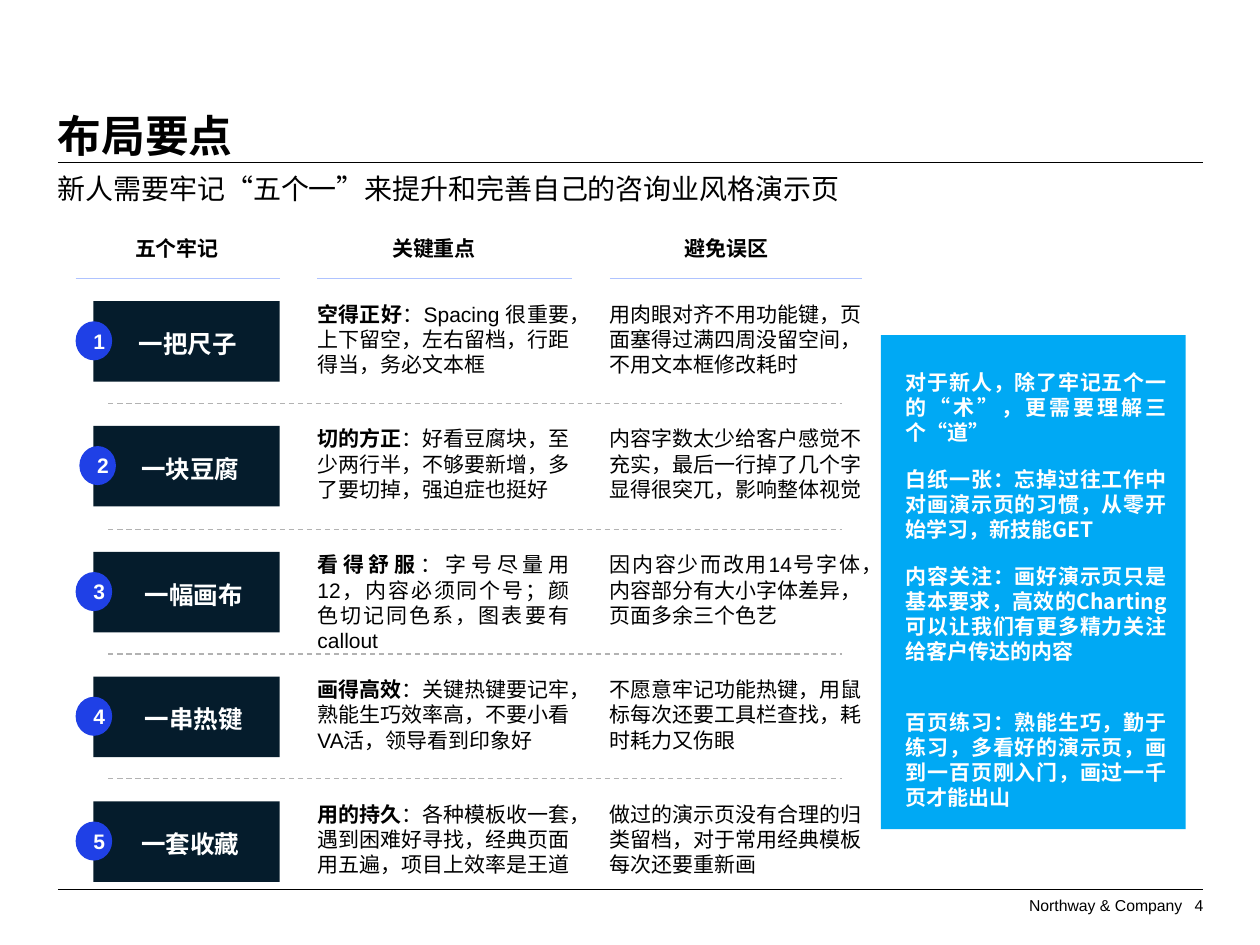
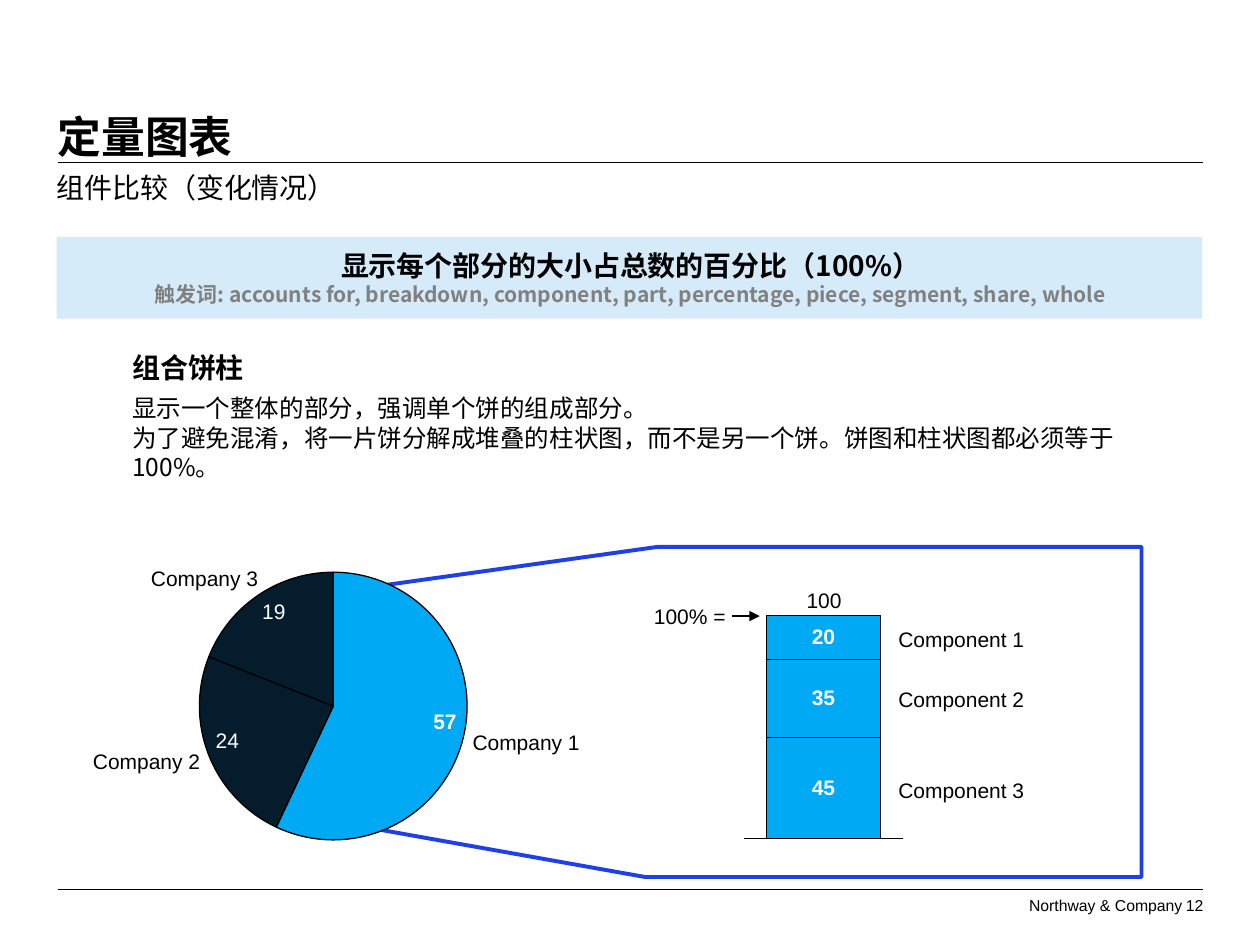
from lxml import etree
from pptx import Presentation
from pptx import util as u
from pptx.chart.data import CategoryChartData
from pptx.dml.color import RGBColor
from pptx.enum import chart as charts, dml, shapes, text
from pptx.oxml import parse_xml
from pptx.oxml.ns import nsdecls, qn

SCALE = 9144
COLORS = {
    "black": "000000", "white": "FFFFFF", "gray": "808080", "dash": "B2B2B2",
    "navy": "051C2C", "cyan": "00A9F4", "blue": "1F40E6",
    "header_line": "AFC3FF", "band": "D6EBFA",
}
LATIN, CHINESE = "Arial", "Noto Sans CJK SC"
LEFT, CENTER, RIGHT, JUSTIFY = (
    text.PP_ALIGN.LEFT, text.PP_ALIGN.CENTER, text.PP_ALIGN.RIGHT, text.PP_ALIGN.JUSTIFY)
TOP, MIDDLE, BOTTOM = (
    text.MSO_ANCHOR.TOP, text.MSO_ANCHOR.MIDDLE, text.MSO_ANCHOR.BOTTOM)


def px(value):
    return u.Emu(round(value * SCALE))


def rgb(name):
    return RGBColor.from_string(COLORS[name])


class Deck:
    """Holds the shared style and the slide being built."""

    def __init__(self):
        self.presentation = Presentation()
        self.presentation.slide_width = px(1000)
        self.presentation.slide_height = px(750)
        self.slide = None

    def start_slide(self, title, title_box, subtitle, subtitle_box, number):
        self.slide = self.presentation.slides.add_slide(self.presentation.slide_layouts[5])
        self.text((815, 711, 125, 15), "Northway & Company", 9, align=CENTER,
                  anchor=BOTTOM, wrap=False, grow=True)
        for y in (706, 129):
            self.line((46, y), (955, y), "black", 0.5)
        self.text((928, 711, 27, 15), str(number), 9, align=RIGHT, anchor=BOTTOM, grow=True)
        shape = self.slide.shapes.title
        shape.left, shape.top, shape.width, shape.height = map(px, title_box)
        self.frame(shape, BOTTOM)
        self.add_runs(shape.text_frame.paragraphs[0], [(title, True)], 25, font=CHINESE)
        self.text(subtitle_box, subtitle, 16, font=CHINESE)

    def frame(self, shape, anchor=TOP, wrap=True, grow=False):
        frame = shape.text_frame
        frame.margin_left = frame.margin_right = frame.margin_top = frame.margin_bottom = 0
        frame.vertical_anchor = anchor
        frame.word_wrap = wrap
        frame.auto_size = (text.MSO_AUTO_SIZE.SHAPE_TO_FIT_TEXT if grow
                           else text.MSO_AUTO_SIZE.NONE)
        return frame

    def add_runs(self, paragraph, runs, size, color="black", font=LATIN, align=LEFT):
        paragraph.alignment = align
        for words, bold in runs:
            for index, part in enumerate(words.split("\n")):
                if index:
                    paragraph.add_line_break()
                run = paragraph.add_run()
                run.text = part
                run.font.size = u.Pt(size)
                run.font.bold = bold
                run.font.name = font
                run.font.color.rgb = rgb(color)
                east_asian = etree.SubElement(run.font._element, qn("a:ea"))
                east_asian.set("typeface", CHINESE)

    def text(self, box, words, size, bold=False, color="black", font=LATIN,
             align=LEFT, anchor=TOP, wrap=True, grow=False):
        shape = self.slide.shapes.add_textbox(*map(px, box))
        frame = self.frame(shape, anchor, wrap, grow)
        runs = [(words, bold)] if isinstance(words, str) else words
        self.add_runs(frame.paragraphs[0], runs, size, color, font, align)
        return frame

    def shape(self, kind, box, fill, label=None):
        shape = self.slide.shapes.add_shape(kind, *map(px, box))
        shape.shadow.inherit = False
        shape.fill.solid()
        shape.fill.fore_color.rgb = rgb(fill)
        shape.line.fill.background()
        if label:
            shape.text_frame.vertical_anchor = MIDDLE
            self.add_runs(shape.text_frame.paragraphs[0], [(label, True)], 12, "white",
                          align=CENTER)

    def line(self, start, end, color, width=0.75, dashed=False, arrow=False):
        connector = self.slide.shapes.add_connector(
            shapes.MSO_CONNECTOR.STRAIGHT, *map(px, start + end))
        connector.line.color.rgb = rgb(color)
        connector.line.width = u.Pt(width)
        if dashed:
            connector.line.dash_style = dml.MSO_LINE.DASH
        if arrow:
            tail = etree.SubElement(connector.line._get_or_add_ln(), qn("a:tailEnd"))
            tail.set("type", "triangle")
        etree.SubElement(connector._element.spPr, qn("a:effectLst"))

    def outline(self, points, color, width):
        builder = self.slide.shapes.build_freeform(*points[0], scale=SCALE)
        builder.add_line_segments(points[1:], close=False)
        shape = builder.convert_to_shape()
        shape.shadow.inherit = False
        shape.fill.background()
        shape.line.color.rgb = rgb(color)
        shape.line.width = u.Pt(width)

    def chart(self, kind, box, categories, series, plot_box):
        data = CategoryChartData()
        data.categories = categories
        for name, values in series:
            data.add_series(name, values)
        chart = self.slide.shapes.add_chart(kind, *map(px, box), data).chart
        chart.has_legend = chart.has_title = False
        chart.font.size = u.Pt(10)
        chart.font.name = LATIN
        chart.font.color.rgb = rgb("black")
        plot_area = chart._chartSpace.find(".//" + qn("c:plotArea"))
        for layout in plot_area.findall(qn("c:layout")):
            plot_area.remove(layout)
        sizes = "".join(f'<c:{key} val="{value}"/>' for key, value in zip("xywh", plot_box))
        plot_area.insert(0, parse_xml(
            f'<c:layout {nsdecls("c")}><c:manualLayout><c:layoutTarget val="inner"/>'
            f'<c:xMode val="edge"/><c:yMode val="edge"/>{sizes}</c:manualLayout></c:layout>'))
        return chart

    def chart_part(self, point, fill, position, bold):
        point.format.fill.solid()
        point.format.fill.fore_color.rgb = rgb(fill)
        point.format.line.color.rgb = rgb("black")
        point.format.line.width = u.Pt(0.75)
        label = point.data_label
        label.font.size = u.Pt(12)
        label.font.bold = bold
        label.font.color.rgb = rgb("white")
        label.position = position


def build_layout_slide(deck):
    deck.start_slide("布局要点", (46, 48, 909, 80),
                     "新人需要牢记“五个一”来提升和完善自己的咨询业风格演示页",
                     (46, 136, 909, 50), 4)
    for heading, left, width, line_left, line_right in (
            ("五个牢记", 74, 133, 60, 222),
            ("关键重点", 266, 157, 252, 454),
            ("避免误区", 498, 157, 484, 684)):
        deck.text((left, 187, width, 20), heading, 12, True, align=CENTER,
                  anchor=MIDDLE, grow=True)
        deck.line((line_left, 221), (line_right, 221), "header_line")

    rules = (
        ("一把尺子", 110, 60, "空得正好", "：Spacing 很重要，上下留空，左右留档，行距得当，务必文本框",
         "用肉眼对齐不用功能键，页面塞得过满四周没留空间，不用文本框修改耗时"),
        ("一块豆腐", 112, 63, "切的方正", "：好看豆腐块，至少两行半，不够要新增，多了要切掉，强迫症也挺好",
         "内容字数太少给客户感觉不充实，最后一行掉了几个字显得很突兀，影响整体视觉"),
        ("一幅画布", 115, 60, "看得舒服", "：字号尽量用12，内容必须同个号；颜色切记同色系，图表要有callout",
         "因内容少而改用14号字体，内容部分有大小字体差异，页面多余三个色艺"),
        ("一串热键", 115, 60, "画得高效", "：关键热键要记牢，熟能生巧效率高，不要小看VA活，领导看到印象好",
         "不愿意牢记功能热键，用鼠标每次还要工具栏查找，耗时耗力又伤眼"),
        ("一套收藏", 112, 60, "用的持久", "：各种模板收一套，遇到困难好寻找，经典页面用五遍，项目上效率是王道",
         "做过的演示页没有合理的归类留档，对于常用经典模板每次还要重新画"),
    )
    for index, (name, name_left, badge_left, point, detail, mistake) in enumerate(rules):
        top = round(239 + 99.25 * index)
        if index:
            deck.line((86, top - 18), (668, top - 18), "dash", dashed=True)
        deck.shape(shapes.MSO_SHAPE.RECTANGLE, (74, top, 148, 64), "navy")
        deck.shape(shapes.MSO_SHAPE.OVAL, (badge_left, top + 16, 29, 31), "blue", str(index + 1))
        deck.text((name_left, top + 22, 100, 24), name, 14, True, "white", CHINESE, grow=True)
        deck.text((252, top, 200, 61), [(point, True), (detail, False)], 12,
                  align=JUSTIFY, grow=True)
        deck.text((484, top, 200, 61), mistake, 12, align=JUSTIFY, grow=True)

    deck.shape(shapes.MSO_SHAPE.RECTANGLE, (699, 266, 242, 392), "cyan")
    for top, height, advice in (
            (293, 61, "对于新人，除了牢记五个一的“术”，更需要理解三个“道”"),
            (370, 61, "白纸一张：忘掉过往工作中对画演示页的习惯，从零开始学习，新技能GET"),
            (447, 101, "内容关注：画好演示页只是基本要求，高效的Charting可以让我们有更多精力关注给客户传达的内容"),
            (563, 81, "百页练习：熟能生巧，勤于练习，多看好的演示页，画到一百页刚入门，画过一千页才能出山")):
        deck.text((719, top, 207, height), advice, 12, True, "white", CHINESE,
                  JUSTIFY, grow=True)


def build_chart_slide(deck):
    deck.start_slide("定量图表", (46, 79, 204, 50), "组件比较（变化情况）",
                     (45, 135, 357, 34), 12)
    deck.shape(shapes.MSO_SHAPE.RECTANGLE, (45, 188, 909, 65), "band")
    frame = deck.text((46, 197, 909, 47), "显示每个部分的大小占总数的百分比（100%）", 16, True,
                      font=CHINESE, align=CENTER, grow=True)
    triggers = ("触发词: accounts for, breakdown, component, part, percentage, "
                "piece, segment, share, whole")
    deck.add_runs(frame.add_paragraph(), [(triggers, True)], 12, "gray", CHINESE, CENTER)

    deck.outline([(301, 465), (522, 434), (906, 434), (906, 696), (512, 696), (265, 652)],
                 "blue", 2.25)
    pie = deck.chart(charts.XL_CHART_TYPE.PIE, (149, 416, 231, 289), ["1", "2", "3"],
                     [("Series 1", (57, 24, 19))], (0.04, 0.13, 0.92, 0.74))
    pie.plots[0].vary_by_categories = False
    for index, fill in enumerate(("cyan", "navy", "navy")):
        deck.chart_part(pie.plots[0].series[0].points[index], fill,
                        charts.XL_LABEL_POSITION.INSIDE_END, index == 0)
    for number, left, top, align in ((1, 375, 579, LEFT), (2, 74, 594, RIGHT),
                                     (3, 120, 449, RIGHT)):
        deck.text((left, top, 85, 20), f"Company {number}", 12, align=align,
                  anchor=MIDDLE, wrap=False)

    column = deck.chart(charts.XL_CHART_TYPE.COLUMN_STACKED, (568, 460, 173, 236), ["1"],
                        [("Series 1", (45,)), ("Series 2", (35,)), ("Series 3", (20,))],
                        (0.13, 0.12, 0.73, 0.75))
    plot = column.plots[0]
    plot.vary_by_categories = False
    plot.gap_width, plot.overlap = 40, 100
    for series in plot.series:
        deck.chart_part(series.points[0], "cyan", charts.XL_LABEL_POSITION.CENTER, True)
    column.value_axis.minimum_scale, column.value_axis.maximum_scale = 0, 100
    column.value_axis.has_major_gridlines = False
    column.value_axis.visible = False
    axis = column.category_axis
    axis.tick_label_position = charts.XL_TICK_LABEL_POSITION.NONE
    axis.major_tick_mark = axis.minor_tick_mark = charts.XL_TICK_MARK.NONE
    axis.format.line.color.rgb = rgb("black")
    axis.format.line.width = u.Pt(0.75)

    deck.line((581, 489), (603, 489), "black", arrow=True)
    for number, top in enumerate((497, 545, 617), 1):
        deck.text((713, top, 100, 20), f"Component {number}", 12, anchor=MIDDLE, wrap=False)
    deck.text((638, 466, 32, 20), "100", 12, align=CENTER, anchor=BOTTOM, wrap=False)
    deck.text((519, 479, 57, 20), "100% =", 12, align=RIGHT, anchor=MIDDLE, wrap=False)
    deck.text((105, 278, 106, 21), "组合饼柱", 16, True, font=CHINESE)
    deck.text((105, 312, 841, 46),
              "显示一个整体的部分，强调单个饼的组成部分。\n"
              "为了避免混淆，将一片饼分解成堆叠的柱状图，而不是另一个饼。饼图和柱状图都必须等于100%。",
              14, font=CHINESE)


def main():
    deck = Deck()
    build_layout_slide(deck)
    build_chart_slide(deck)
    deck.presentation.save("out.pptx")


if __name__ == "__main__":
    main()
